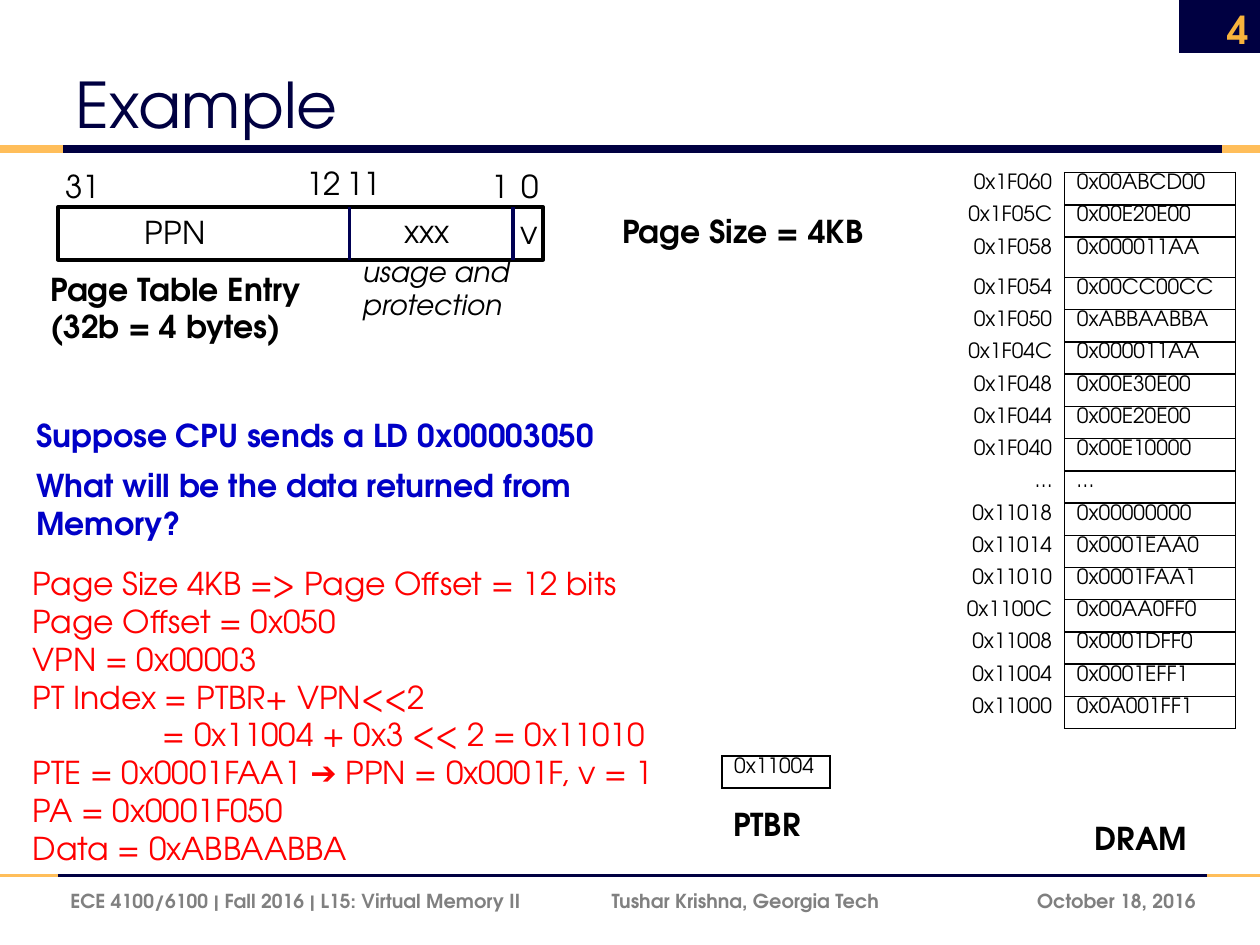
from lxml.etree import SubElement
from pptx import Presentation
from pptx.dml.color import RGBColor
from pptx.enum.shapes import MSO_CONNECTOR, MSO_SHAPE
from pptx.enum.text import MSO_ANCHOR, MSO_AUTO_SIZE, PP_ALIGN
from pptx.oxml.ns import qn
from pptx.util import Cm, Pt

COLORS = {
    "navy": "000041", "divider": "000053", "gold": "FFBE5A", "number": "F8B33C",
    "black": "000000", "white": "FFFFFF", "date": "7F7F7F", "footer": "808080",
    "question": "0000C7", "answer": "FF0000",
}
FONT = "TeX Gyre Adventor"

DRAM_WORDS = [
    ("0x1F060", "0x00ABCD00"), ("0x1F05C", "0x00E20E00"), ("0x1F058", "0x000011AA"),
    ("0x1F054", "0x00CC00CC"), ("0x1F050", "0xABBAABBA"), ("0x1F04C", "0x000011AA"),
    ("0x1F048", "0x00E30E00"), ("0x1F044", "0x00E20E00"), ("0x1F040", "0x00E10000"),
    ("…", "…"),
    ("0x11018", "0x00000000"), ("0x11014", "0x0001EAA0"), ("0x11010", "0x0001FAA1"),
    ("0x1100C", "0x00AA0FF0"), ("0x11008", "0x0001DFF0"), ("0x11004", "0x0001EFF1"),
    ("0x11000", "0x0A001FF1"),
]
SOLUTION = [
    "Page Size 4KB => Page Offset = 12 bits",
    "Page Offset = 0x050",
    "VPN = 0x00003",
    "PT Index = PTBR+ VPN<<2",
    "= 0x11004 + 0x3 << 2 = 0x11010",
    "PTE = 0x0001FAA1 ➔ PPN = 0x0001F, v = 1",
    "PA = 0x0001F050",
    "Data = 0xABBAABBA",
]


def rgb(color):
    return RGBColor.from_string(COLORS[color])


def write(frame, text, size=18, color="black", bold=False, italic=False,
          align=PP_ALIGN.LEFT, tab=None):
    """Fill a text frame, one paragraph per line of text."""
    frame.text = text
    for paragraph in frame.paragraphs:
        paragraph.alignment = align
        if tab:
            stops = SubElement(paragraph._p.get_or_add_pPr(), qn("a:tabLst"))
            SubElement(stops, qn("a:tab"), pos=str(Cm(tab)), algn="l")
        for run in paragraph.runs:
            run.font.name = FONT
            run.font.size = Pt(size)
            run.font.bold = bold
            run.font.italic = italic
            run.font.color.rgb = rgb(color)


class LectureSlide:
    def __init__(self, deck):
        self.slide = deck.slides.add_slide(deck.slide_layouts[5])
        self.shapes = self.slide.shapes

    def title(self, text, left, top, width, height):
        heading = self.shapes.title
        heading.left, heading.top = Cm(left), Cm(top)
        heading.width, heading.height = Cm(width), Cm(height)
        frame = heading.text_frame
        frame.auto_size = MSO_AUTO_SIZE.NONE
        frame.vertical_anchor = MSO_ANCHOR.BOTTOM
        write(frame, text, size=36, color="navy")

    def text(self, text, left, top, width, height=1.02,
             anchor=MSO_ANCHOR.TOP, **style):
        box = self.shapes.add_textbox(Cm(left), Cm(top), Cm(width), Cm(height))
        frame = box.text_frame
        frame.word_wrap = True
        frame.vertical_anchor = anchor
        write(frame, text, **style)
        return frame

    def rect(self, left, top, width, height, fill, line=None):
        box = self.shapes.add_shape(
            MSO_SHAPE.RECTANGLE, Cm(left), Cm(top), Cm(width), Cm(height))
        box.shadow.inherit = False
        box.fill.solid()
        box.fill.fore_color.rgb = rgb(fill)
        if line:
            box.line.color.rgb = rgb(line)
            box.line.width = Pt(2)
        else:
            box.line.fill.background()

    def line(self, x1, y1, x2, y2, color, width):
        rule = self.shapes.add_connector(
            MSO_CONNECTOR.STRAIGHT, Cm(x1), Cm(y1), Cm(x2), Cm(y2))
        rule.line.color.rgb = rgb(color)
        rule.line.width = Pt(width)
        SubElement(rule._element.spPr, qn("a:effectLst"))

    def cell(self, cell, text, sides, align):
        cell.margin_left = cell.margin_right = Cm(0.25)
        cell.margin_top, cell.margin_bottom = Cm(0.03), Cm(0)
        properties = cell._tc.get_or_add_tcPr()
        for side in "LRTB":
            border = SubElement(properties, qn(f"a:ln{side}"), w=str(Pt(1)))
            if side in sides:
                paint = SubElement(border, qn("a:solidFill"))
                SubElement(paint, qn("a:srgbClr"), val=COLORS["black"])
            else:
                SubElement(border, qn("a:noFill"))
        cell.fill.solid()
        cell.fill.fore_color.rgb = rgb("white")
        write(cell.text_frame, text, size=12, align=align)

    def table(self, rows, left, top, widths, heights):
        """Draw memory words: boxed last column, right-aligned addresses before it."""
        table = self.shapes.add_table(
            len(rows), len(widths), Cm(left), Cm(top),
            Cm(sum(widths)), Cm(sum(heights))).table
        table.first_row = table.horz_banding = False
        for column, width in zip(table.columns, widths):
            column.width = Cm(width)
        for r, (words, height) in enumerate(zip(rows, heights)):
            table.rows[r].height = Cm(height)
            for c, word in enumerate(words):
                is_value = c == len(words) - 1
                self.cell(table.cell(r, c), word, "LRTB" if is_value else "R",
                          PP_ALIGN.LEFT if is_value else PP_ALIGN.RIGHT)


def main():
    deck = Presentation()
    deck.slide_width, deck.slide_height = Cm(25.4), Cm(19.05)
    page = LectureSlide(deck)

    # Title, rules and footer
    page.rect(23.77, 0, 1.63, 1.07, "navy")
    for y, start, end, width in [(3, 1.27, 24.64, 4.5), (17.65, 1.17, 24.33, 2.25)]:
        page.line(start, y, end, y, "navy", width)
        page.line(0, y, start, y, "gold", width)
        page.line(end, y, 25.4, y, "gold", width)
    page.title("Example", 1.27, 0.43, 20.78, 2.54)
    middle = MSO_ANCHOR.MIDDLE
    page.text("October 18, 2016", 19.48, 17.65, 4.88, anchor=middle, size=11,
              color="date", bold=True, align=PP_ALIGN.RIGHT)
    page.text("ECE 4100/6100 | Fall 2016 | L15: Virtual Memory II\t"
              "Tushar Krishna, Georgia Tech", 1.17, 17.65, 18.3, anchor=middle,
              size=11, color="footer", bold=True, tab=10.91)
    page.text("4", 23.72, 0.08, 1.7, anchor=middle, size=22, color="number",
              bold=True, align=PP_ALIGN.RIGHT)

    # DRAM contents and page table base register
    row = 0.65
    heights = [row] * len(DRAM_WORDS)
    heights[2] = 0.81
    page.table(DRAM_WORDS, 19.15, 3.48, [2.31, 3.45], heights)
    page.table([("0x11004",)], 14.55, 15.24, [2.18], [row])
    page.text("PTBR", 14.53, 16.1, 2.21, bold=True)
    page.text("DRAM", 21.82, 16.38, 3.05, bold=True)

    # Page table entry with its bit numbers and fields
    page.rect(1.17, 4.17, 9.78, 1.07, "white", "black")
    for x in (7.05, 10.34):
        page.line(x, 4.18, x, 5.24, "divider", 2)
    for label, left, top, width in [
        ("31", 1.07, 3.25, 1.57), ("12", 5.92, 3.18, 1.57), ("11", 6.73, 3.18, 1.57),
        ("1", 9.65, 3.25, 0.9), ("0", 10.26, 3.25, 0.9),
        ("PPN", 2.67, 4.17, 2.39), ("xxx", 7.9, 4.14, 2.39), ("v", 10.24, 4.17, 1.09),
    ]:
        page.text(label, left, top, width)
    page.text("usage and protection", 7.06, 5, 4.29, 1.63, size=16, italic=True)
    page.text("Page Table Entry (32b = 4 bytes)", 0.76, 5.31, 6.27, 1.8, bold=True)
    page.text("Page Size = 4KB", 12.29, 4.14, 5.99, bold=True)

    # Question
    page.text("Suppose CPU sends a LD 0x00003050", 0.48, 8.26, 12.73,
              color="question", bold=True)
    page.text("What will be the data returned from Memory?", 0.48, 9.27, 12.24, 1.8,
              color="question", bold=True)

    # Worked solution, with the continued sum indented
    solution = page.text("\n".join(SOLUTION), 0.41, 11.25, 13.54, 6.4, color="answer")
    continued = solution.paragraphs[4]._p.get_or_add_pPr()
    continued.set("marL", str(Cm(2.62)))
    continued.set("indent", "0")

    deck.save("out.pptx")


if __name__ == "__main__":
    main()
